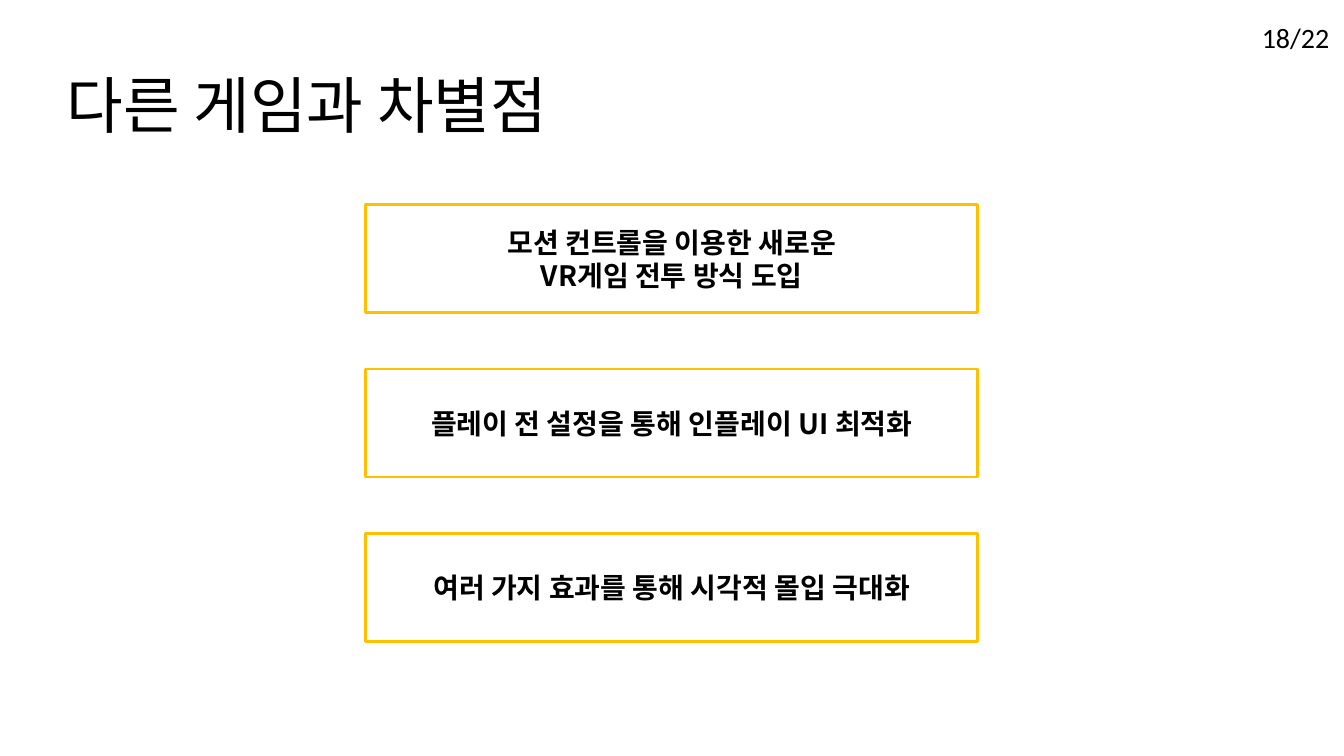
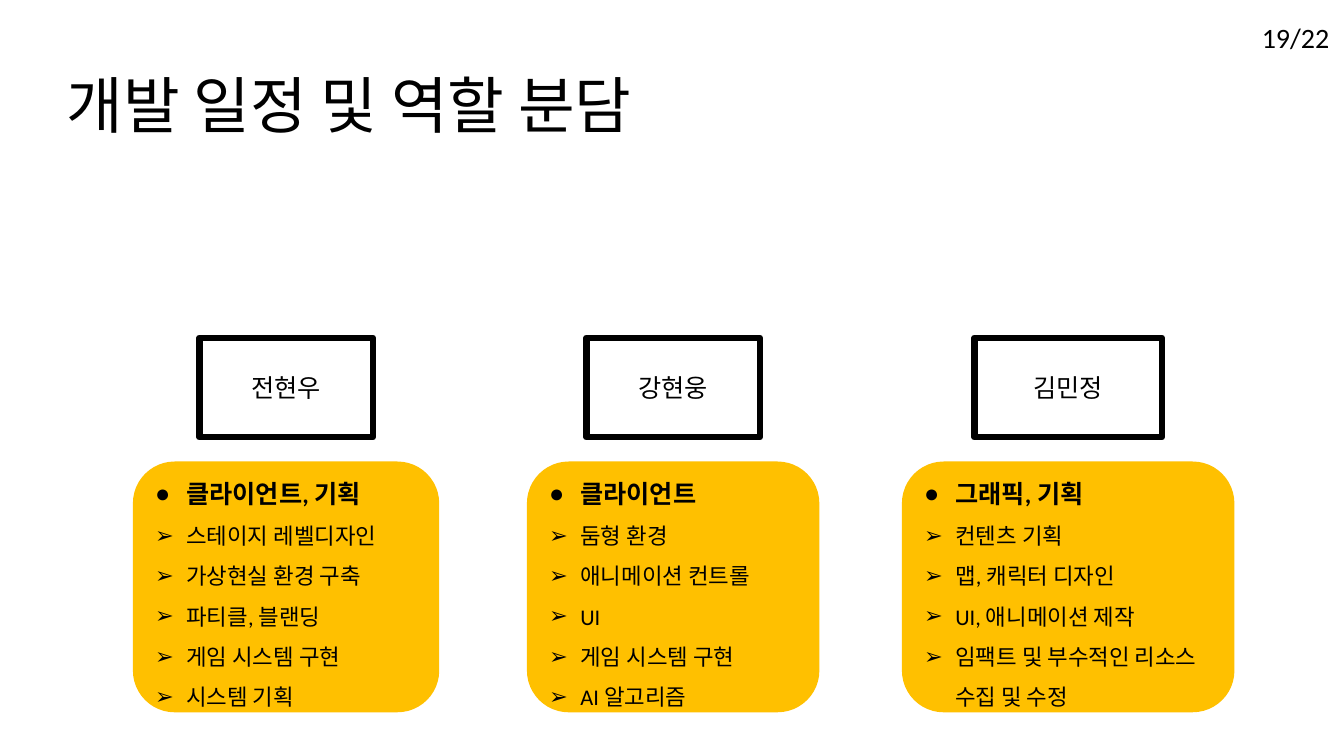
"""Build two slides: what sets the game apart, and who does what."""
from dataclasses import dataclass

from lxml.etree import SubElement
from pptx import Presentation
from pptx.dml.color import RGBColor
from pptx.enum.shapes import MSO_SHAPE
from pptx.enum.text import MSO_ANCHOR, MSO_AUTO_SIZE, PP_ALIGN
from pptx.oxml.ns import qn
from pptx.util import Cm, Pt


@dataclass(frozen=True)
class Theme:
    black: RGBColor = RGBColor(0x00, 0x00, 0x00)
    white: RGBColor = RGBColor(0xFF, 0xFF, 0xFF)
    amber: RGBColor = RGBColor(0xFF, 0xC0, 0x00)
    latin: str = "Calibri"
    korean: str = "Noto Sans CJK KR"
    title: Pt = Pt(44)
    statement: Pt = Pt(20)
    page: Pt = Pt(20)
    name: Pt = Pt(18)
    role: Pt = Pt(18)
    task: Pt = Pt(16)


theme = Theme()


def write(paragraph, text, size, font=theme.latin, bold=False):
    run = paragraph.add_run()
    run.text = text
    run.font.size = size
    run.font.bold = bold
    run.font.name = font
    run.font.color.rgb = theme.black
    SubElement(run._r.get_or_add_rPr(), qn("a:ea"), typeface=theme.korean)


def add_box(slide, outline, bounds, fill, line=None, weight=0):
    box = slide.shapes.add_shape(outline, *[Cm(length) for length in bounds])
    box.shadow.inherit = False
    box.fill.solid()
    box.fill.fore_color.rgb = fill
    if line is None:
        box.line.fill.background()
    else:
        box.line.color.rgb = line
        box.line.width = Pt(weight)
    box.text_frame.word_wrap = True
    box.text_frame.vertical_anchor = MSO_ANCHOR.MIDDLE
    return box.text_frame


deck = Presentation()
deck.slide_width = Cm(33.87)
deck.slide_height = Cm(19.05)

slides = []
for number, heading in enumerate(["다른 게임과 차별점", "개발 일정 및 역할 분담"], start=18):
    slide = deck.slides.add_slide(deck.slide_layouts[5])
    title = slide.shapes.title
    title.left, title.top, title.width, title.height = Cm(1.42), Cm(0.89), Cm(29.21), Cm(3.68)
    title.text_frame.vertical_anchor = MSO_ANCHOR.MIDDLE
    title_line = title.text_frame.paragraphs[0]
    title_line.alignment = PP_ALIGN.LEFT
    title_line.line_spacing = 0.9
    write(title_line, heading, theme.title)

    page = slide.shapes.add_textbox(Cm(31.55), Cm(0.38), Cm(2.24), Cm(1.12)).text_frame
    page.word_wrap = False
    page.auto_size = MSO_AUTO_SIZE.SHAPE_TO_FIT_TEXT
    write(page.paragraphs[0], f"{number}/22", theme.page)
    slides.append(slide)

difference_slide, roles_slide = slides

differences = [
    ["모션 컨트롤을 이용한 새로운", "VR게임 전투 방식 도입"],
    ["플레이 전 설정을 통해 인플레이 UI 최적화"],
    ["여러 가지 효과를 통해 시각적 몰입 극대화"],
]
for row, lines in enumerate(differences):
    bounds = (9.22, 5.16 + row * 4.14, 15.42, 2.72)
    statement = add_box(difference_slide, MSO_SHAPE.RECTANGLE, bounds, theme.white, theme.amber, 2)
    for index, line in enumerate(lines):
        paragraph = statement.add_paragraph() if index else statement.paragraphs[0]
        paragraph.alignment = PP_ALIGN.CENTER
        write(paragraph, line, theme.statement, theme.korean, bold=True)

members = [
    ("전현우", 4.37, 3.35, 7.72, "클라이언트, 기획",
     ["스테이지 레벨디자인", "가상현실 환경 구축", "파티클, 블랜딩", "게임 시스템 구현", "시스템 기획"]),
    ("강현웅", 4.37, 13.28, 7.37, "클라이언트",
     ["둠형 환경", "애니메이션 컨트롤", "UI", "게임 시스템 구현", "AI 알고리즘"]),
    ("김민정", 4.72, 22.73, 8.38, "그래픽, 기획",
     ["컨텐츠 기획", "맵, 캐릭터 디자인", "UI, 애니메이션 제작", "임팩트 및 부수적인 리소스 수집 및 수정"]),
]
for name, name_width, card_left, card_width, role, tasks in members:
    name_left = card_left + (card_width - name_width) / 2
    name_plate = add_box(roles_slide, MSO_SHAPE.RECTANGLE, (name_left, 8.51, name_width, 2.51),
                         theme.white, theme.black, 4.5)
    name_plate.paragraphs[0].alignment = PP_ALIGN.CENTER
    write(name_plate.paragraphs[0], name, theme.name)

    duties = add_box(roles_slide, MSO_SHAPE.ROUNDED_RECTANGLE, (card_left, 11.63, card_width, 6.32),
                     theme.amber)
    for index, duty in enumerate([role, *tasks]):
        is_role = index == 0
        paragraph = duties.paragraphs[0] if is_role else duties.add_paragraph()
        paragraph.alignment = PP_ALIGN.LEFT
        paragraph.line_spacing = 1.5
        properties = paragraph._p.get_or_add_pPr()
        properties.set("marL", str(Cm(0.79)))
        properties.set("indent", str(-Cm(0.79)))
        SubElement(properties, qn("a:buFont"), typeface="Arial")
        SubElement(properties, qn("a:buChar"), char="●" if is_role else "➢")
        write(paragraph, duty, theme.role if is_role else theme.task, bold=is_role)

deck.save("out.pptx")
